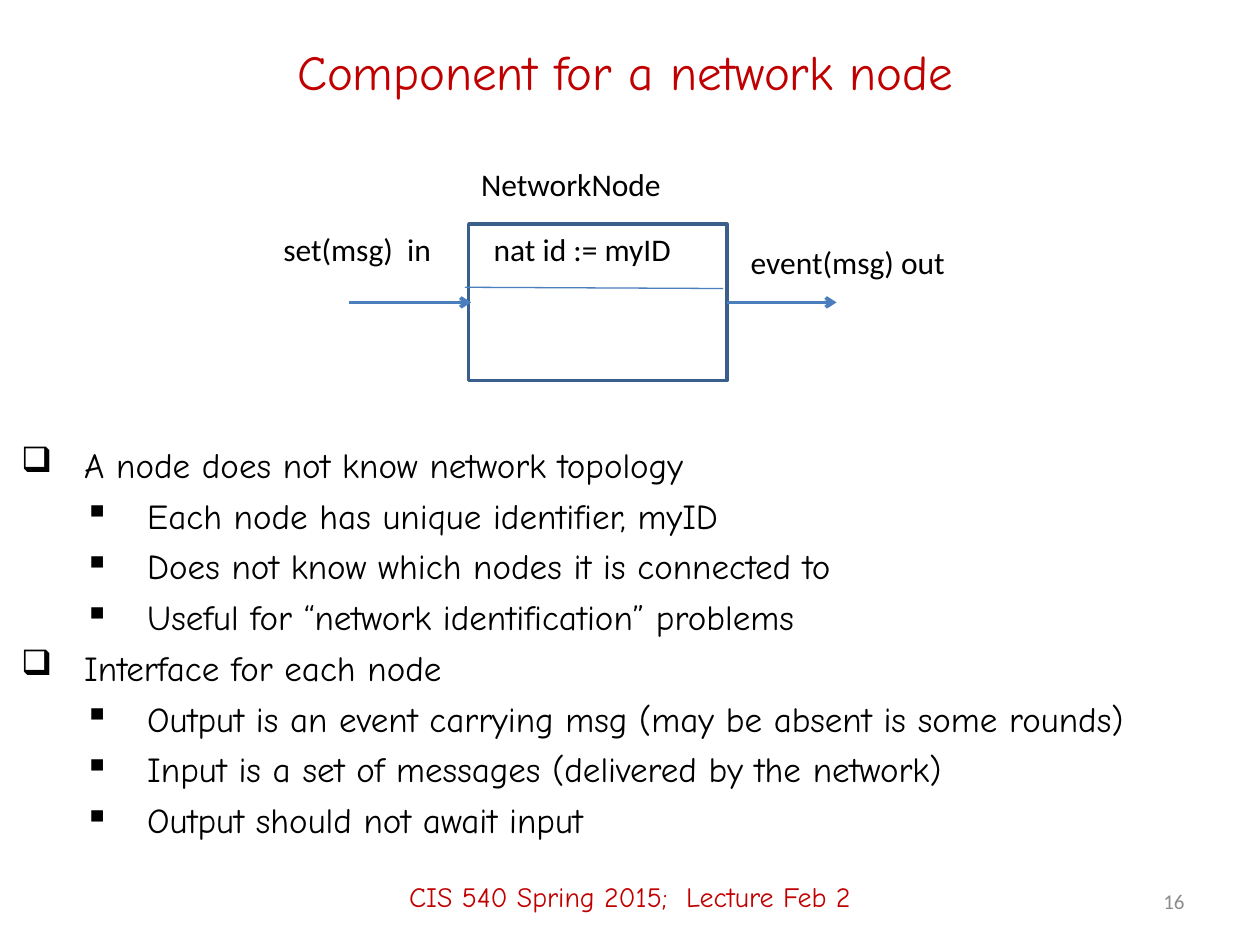
import pptx
import pptx.util
import pptx.dml.color
import pptx.enum.shapes
import pptx.enum.text
import pptx.oxml.ns
from lxml import etree

PX = 9144  # EMU in one px, 100 px to the inch
HUES = {"red": "C00000", "black": "000000", "gray": "8C8C8C",
        "edge": "3A5F8C", "line": "4B7EBC"}
HAND, SANS = "Comic Neue", "Calibri"
ALIGN = pptx.enum.text.PP_ALIGN
ANCHOR = pptx.enum.text.MSO_ANCHOR

POINTS = [
    (0, "A node does not know network topology"),
    (1, "Each node has unique identifier, myID"),
    (1, "Does not know which nodes it is connected to"),
    (1, "Useful for “network identification” problems"),
    (0, "Interface for each node"),
    (1, "Output is an event carrying msg (may be absent is some rounds)"),
    (1, "Input is a set of messages (delivered by the network)"),
    (1, "Output should not await input"),
]
MARKS = "❑▪"


def scale(*nums):
    return [pptx.util.Emu(num * PX) for num in nums]


def hue(name):
    return pptx.dml.color.RGBColor.from_string(HUES[name])


def style(para, size, face, tint):
    for run in para.runs:
        run.font.size = pptx.util.Pt(size)
        run.font.name = face
        run.font.color.rgb = hue(tint)


def add_child(node, tag, **attrs):
    return etree.SubElement(node, pptx.oxml.ns.qn(tag), attrs)


def add_text(slide, box, text, size, face, tint,
             align=ALIGN.LEFT, anchor=ANCHOR.TOP, wrap=True):
    frame = slide.shapes.add_textbox(*scale(*box)).text_frame
    frame.word_wrap = wrap
    frame.vertical_anchor = anchor
    frame.text = text
    para = frame.paragraphs[0]
    para.alignment = align
    style(para, size, face, tint)


def add_line(slide, ends, width, arrow=False):
    kind = pptx.enum.shapes.MSO_CONNECTOR.STRAIGHT
    link = slide.shapes.add_connector(kind, *scale(*ends))
    link.line.color.rgb = hue("line")
    link.line.width = pptx.util.Pt(width)
    if arrow:
        add_child(link.line._get_or_add_ln(), "a:tailEnd", type="arrow")
    add_child(link._element.spPr, "a:effectLst")


def add_node(slide, box):
    """Draw the component box with its state, ports and labels."""
    left, top, width, height = box
    right, port = left + width, top + height // 2
    rect = slide.shapes.add_shape(
        pptx.enum.shapes.MSO_SHAPE.RECTANGLE, *scale(*box))
    rect.shadow.inherit = False
    rect.fill.background()
    rect.line.color.rgb = hue("edge")
    rect.line.width = pptx.util.Pt(2)

    add_line(slide, (right, port, right + 87, port), 2, arrow=True)
    add_line(slide, (left - 95, port, left + 2, port), 2, arrow=True)
    add_line(slide, (left - 3, top + 50, right - 3, top + 51), 0.75)

    labels = [
        ("NetworkNode", left, top - 52, 164),
        ("set(msg)  in", left - 157, top, 147),
        ("nat id := myID", left + 10, top, 163),
        ("event(msg) out", right + 9, top + 10, 176),
    ]
    for text, x, y, wide in labels:
        add_text(slide, (x, y, wide, 40), text, 18, SANS, "black", wrap=False)


def add_points(slide, box):
    frame = slide.shapes.add_textbox(*scale(*box)).text_frame
    frame.word_wrap = True
    for index, (level, text) in enumerate(POINTS):
        para = frame.add_paragraph() if index else frame.paragraphs[0]
        para.text = text
        para.level = level
        if index:
            para.space_before = pptx.util.Pt(5)
        props = para._p.get_or_add_pPr()
        props.set("marL", str(50 * (level + 1) * PX))
        props.set("indent", str(-50 * PX))
        add_child(props, "a:buChar", char=MARKS[level])
        style(para, 20, HAND, "black")


def add_footer(slide, box):
    left, top, width, height = box
    add_text(slide, box, "CIS 540 Spring 2015;  Lecture Feb 2", 16, HAND,
             "red", ALIGN.CENTER, ANCHOR.MIDDLE)
    add_text(slide, (left + width - 283, top + 23, 233, 40), "16", 12, SANS,
             "gray", ALIGN.RIGHT, ANCHOR.MIDDLE)


def main():
    deck = pptx.Presentation()
    deck.slide_width, deck.slide_height = scale(1000, 750)
    slide = deck.slides.add_slide(deck.slide_layouts[6])
    add_text(slide, (67, 17, 858, 78), "Component for a network node", 28,
             HAND, "red", ALIGN.CENTER, ANCHOR.MIDDLE)
    add_points(slide, (7, 347, 983, 325))
    add_node(slide, (372, 178, 205, 124))
    add_footer(slide, (0, 672, 1000, 78))
    deck.save("out.pptx")


if __name__ == "__main__":
    main()
